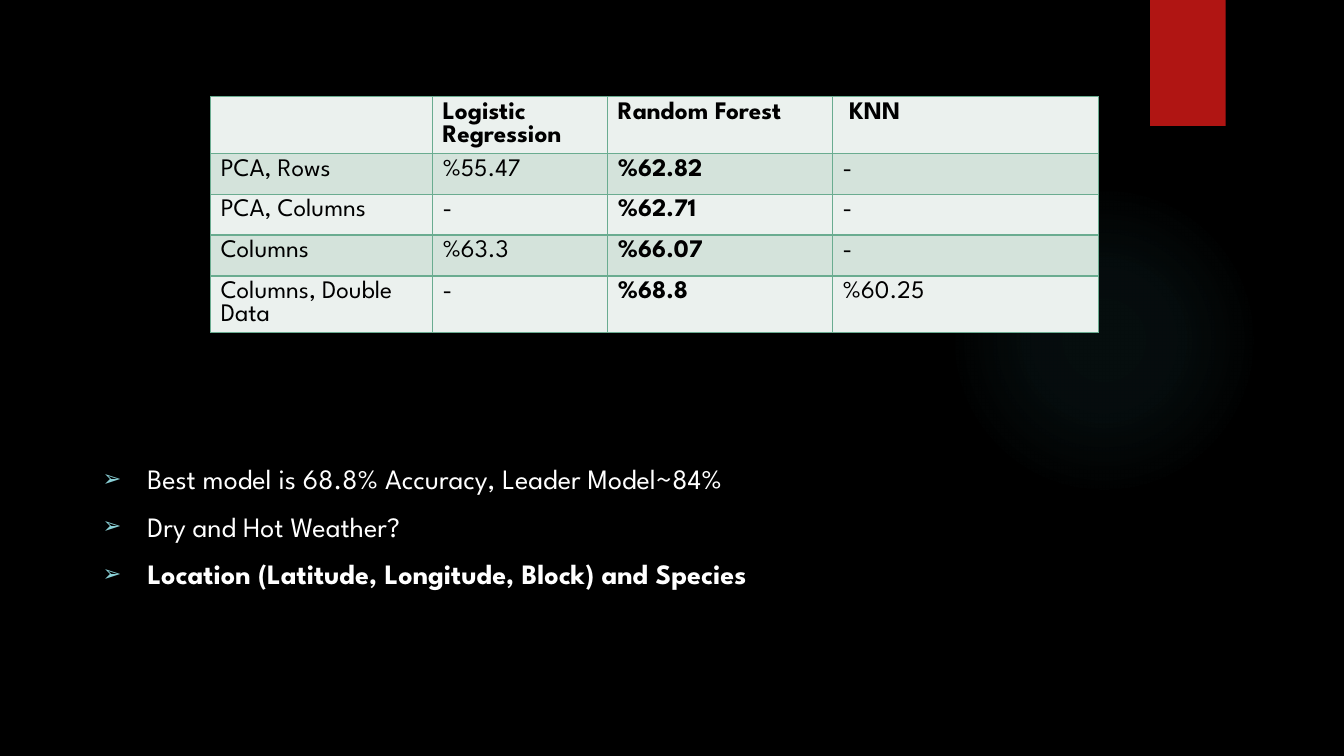
from lxml.etree import SubElement
from pptx import Presentation
from pptx.dml.color import RGBColor
from pptx.enum.shapes import MSO_SHAPE
from pptx.enum.text import MSO_ANCHOR, MSO_AUTO_SIZE
from pptx.oxml import parse_xml
from pptx.oxml.ns import nsdecls, qn
from pptx.util import Pt

BLACK = RGBColor(0, 0, 0)
WHITE = RGBColor(0xFF, 0xFF, 0xFF)
RED = RGBColor(0xB0, 0x15, 0x13)
CYAN = RGBColor(0x50, 0xB9, 0xC1)
AQUA = RGBColor(0x8A, 0xD0, 0xD6)
GREEN = RGBColor(0x6A, 0xAC, 0x90)
BANDS = [RGBColor(0xEB, 0xF1, 0xEE), RGBColor(0xD4, 0xE3, 0xDB)]
FACE = "League Spartan"
WIDTHS = [158.4, 125.3, 160.6, 190.1]
ROW = 29.2
GLOW = [(0, 7), (36, 6), (69, 0)]
SCORES = [
    ["", "Logistic Regression", "Random Forest", " KNN"],
    ["PCA, Rows", "%55.47", "%62.82", "-"],
    ["PCA, Columns", "-", "%62.71", "-"],
    ["Columns", "%63.3", "%66.07", "-"],
    ["Columns, Double Data", "-", "%68.8", "%60.25"],
]
NOTES = [
    [(" Best model is 68.8% Accuracy, Leader Model~84%", False)],
    [(" Dry and Hot Weather?", False)],
    [(" ", False), ("Location (Latitude, Longitude, Block) and Species", True)],
]


def style(font, color, **values):
    """Set the font's colour and its other format values."""
    for name, value in values.items():
        setattr(font, name, value)
    font.color.rgb = color


def add_shape(slide, kind, box):
    """Add a plain shape without a line or shadow."""
    shape = slide.shapes.add_shape(kind, *map(Pt, box))
    shape.shadow.inherit = False
    shape.line.fill.background()
    return shape


def add_glow(slide, box):
    """Fill the box with a faint round glow."""
    glow = add_shape(slide, MSO_SHAPE.OVAL, box)
    stops = "".join(
        f'<a:gs pos="{pos * 1000}"><a:srgbClr val="{CYAN}">'
        f'<a:alpha val="{alpha * 1000}"/></a:srgbClr></a:gs>'
        for pos, alpha in GLOW)
    fill = parse_xml(
        f'<a:gradFill {nsdecls("a")}><a:gsLst>{stops}</a:gsLst>'
        '<a:path path="circle"><a:fillToRect l="50000" t="50000" '
        'r="50000" b="50000"/></a:path></a:gradFill>')
    glow.element.spPr.find(qn("a:prstGeom")).addnext(fill)


def add_flag(slide, box):
    """Hang the red flag in the box with a soft shadow."""
    flag = add_shape(slide, MSO_SHAPE.RECTANGLE, box)
    flag.fill.solid()
    flag.fill.fore_color.rgb = RED
    effects = flag.element.spPr.find(qn("a:effectLst"))
    effects.append(parse_xml(
        f'<a:outerShdw {nsdecls("a")} blurRad="{Pt(3)}" dist="{Pt(2)}" '
        f'dir="5400000"><a:srgbClr val="{BLACK}"><a:alpha val="45000"/>'
        '</a:srgbClr></a:outerShdw>'))


def add_edges(cell):
    """Draw a thin green border on each side of the cell."""
    props = cell._tc.get_or_add_tcPr()
    for side in "LRTB":
        props.append(parse_xml(
            f'<a:ln{side} {nsdecls("a")} w="{Pt(1)}"><a:solidFill>'
            f'<a:srgbClr val="{GREEN}"/></a:solidFill></a:ln{side}>'))


def add_scores(slide, box):
    """Place the table of model scores in the box."""
    frame = slide.shapes.add_table(len(SCORES), len(WIDTHS), *map(Pt, box))
    table = frame.table
    for column, width in zip(table.columns, WIDTHS):
        column.width = Pt(width)
    for i, texts in enumerate(SCORES):
        table.rows[i].height = Pt(ROW)
        for j, text in enumerate(texts):
            cell = table.cell(i, j)
            add_edges(cell)
            cell.fill.solid()
            cell.fill.fore_color.rgb = BANDS[i % 2]
            cell.text = text
            style(cell.text_frame.paragraphs[0].font, BLACK, name=FACE,
                  size=Pt(18), bold=i == 0 or j == 2)


def add_bullet(para):
    """Give the paragraph an arrow bullet and a hanging indent."""
    props = para._p.get_or_add_pPr()
    props.set("marL", str(Pt(27)))
    props.set("indent", str(-Pt(27)))
    color = SubElement(props, qn("a:buClr"))
    SubElement(color, qn("a:srgbClr")).set("val", str(AQUA))
    SubElement(props, qn("a:buSzPct")).set("val", "80000")
    SubElement(props, qn("a:buChar")).set("char", "➢")


def add_notes(slide, box):
    """Fill the body placeholder with the findings."""
    body = slide.placeholders[1]
    body.left, body.top, body.width, body.height = map(Pt, box)
    frame = body.text_frame
    frame.auto_size = MSO_AUTO_SIZE.NONE
    frame.vertical_anchor = MSO_ANCHOR.TOP
    for i, runs in enumerate(NOTES):
        para = frame.add_paragraph() if i else frame.paragraphs[0]
        add_bullet(para)
        para.space_before = Pt(10 if i else 0)
        for text, bold in runs:
            run = para.add_run()
            run.text = text
            style(run.font, WHITE, name=FACE, size=Pt(20), bold=bold)


def main():
    """Build and save the results slide."""
    deck = Presentation()
    deck.slide_width, deck.slide_height = Pt(960), Pt(540)
    slide = deck.slides.add_slide(deck.slide_layouts[1])
    slide.background.fill.solid()
    slide.background.fill.fore_color.rgb = BLACK
    title = slide.shapes.title.element
    title.getparent().remove(title)
    add_glow(slide, (677.5, 131.8, 221.8, 221.8))
    add_flag(slide, (821.5, 0, 54, 90))
    body = slide.placeholders[1].element
    body.getparent().append(body)
    add_notes(slide, (66.2, 326.2, 828, 159.8))
    add_scores(slide, (150.5, 69.1, sum(WIDTHS), ROW * len(SCORES)))
    deck.save("out.pptx")


if __name__ == "__main__":
    main()
